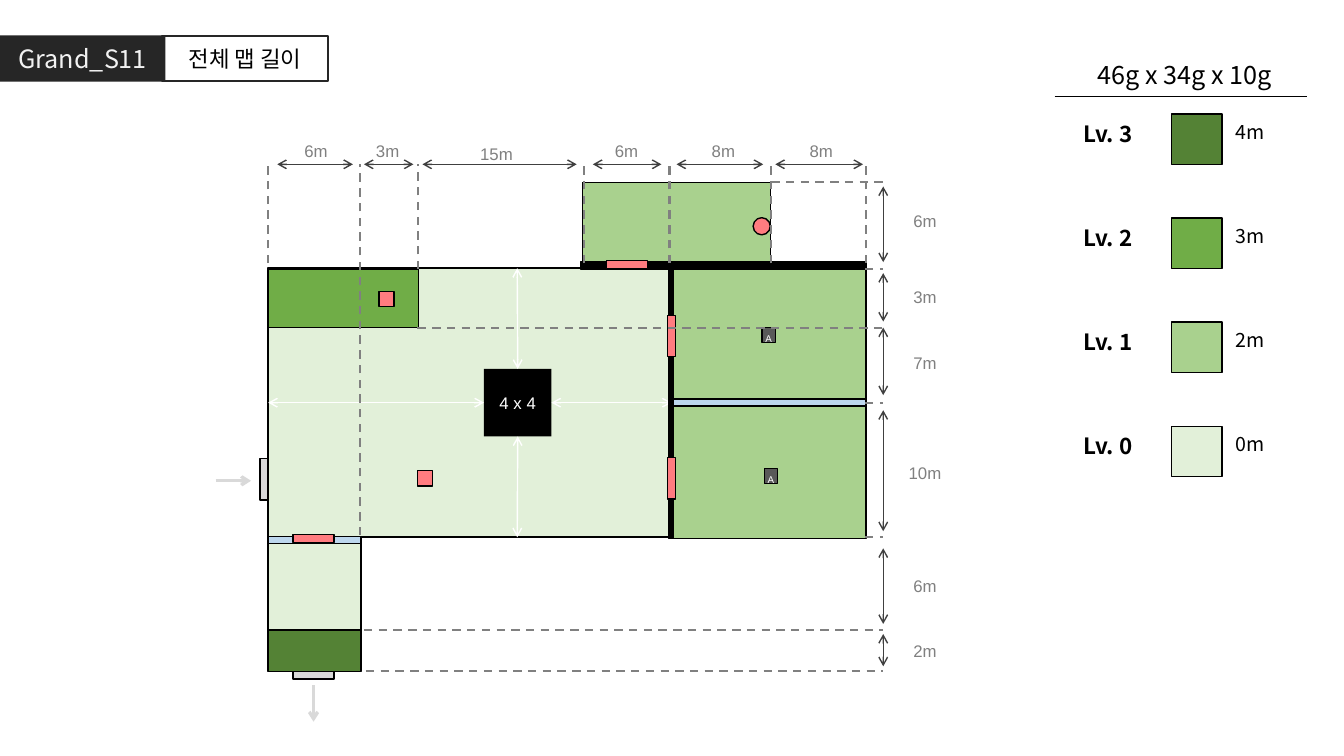
from lxml import etree
from pptx import Presentation
from pptx import util as u
from pptx.dml.color import RGBColor
from pptx.enum import dml, shapes, text
from pptx.oxml.ns import qn

BLACK = RGBColor(0x00, 0x00, 0x00)
WHITE = RGBColor(0xFF, 0xFF, 0xFF)
OFF_WHITE = RGBColor(0xF2, 0xF2, 0xF2)
INK = RGBColor(0x26, 0x26, 0x26)
DARK_GRAY = RGBColor(0x40, 0x40, 0x40)
CRATE_GRAY = RGBColor(0x59, 0x59, 0x59)
GRAY = RGBColor(0x80, 0x80, 0x80)
LIGHT_GRAY = RGBColor(0xD9, 0xD9, 0xD9)
PINK = RGBColor(0xFF, 0x7C, 0x80)
GLASS = RGBColor(0xBD, 0xD7, 0xEE)
LEVEL_0 = RGBColor(0xE2, 0xF0, 0xD9)
LEVEL_1 = RGBColor(0xA9, 0xD1, 0x8E)
LEVEL_2 = RGBColor(0x70, 0xAD, 0x47)
LEVEL_3 = RGBColor(0x54, 0x82, 0x35)
CJK = "Noto Sans CJK KR"
LATIN = "Arial"
TOP, LEFT, BOTTOM, RIGHT = range(4)


class MapPage:
    """Draws map elements on one page, placed on a grid of tenth-inch columns and rows."""

    cell = u.Inches(0.1)

    def __init__(self, deck):
        self.page = deck.slides.add_slide(deck.slide_layouts[5])

    def grid(self, *cells):
        return [u.Emu(round(count * self.cell)) for count in cells]

    def letter(self, box, words, size, color, font=LATIN, bold=False, align=text.PP_ALIGN.CENTER):
        frame = box.text_frame
        frame.text = words
        para = frame.paragraphs[0]
        para.alignment = align
        span = para.runs[0]
        span.font.size = u.Pt(size)
        span.font.name = font
        span.font.bold = bold
        span.font.color.rgb = color
        return frame

    def title(self, words, area):
        box = self.page.shapes.title
        box.left, box.top, box.width, box.height = self.grid(*area)
        box.fill.solid()
        box.fill.fore_color.rgb = INK
        frame = self.letter(box, words, 18, OFF_WHITE, CJK)
        frame.vertical_anchor = text.MSO_ANCHOR.MIDDLE
        frame.auto_size = text.MSO_AUTO_SIZE.NONE

    def block(self, area, fill=None, line=BLACK, weight=1, kind=shapes.MSO_SHAPE.RECTANGLE):
        box = self.page.shapes.add_shape(kind, *self.grid(*area))
        box.shadow.inherit = False
        if fill is None:
            box.fill.background()
        else:
            box.fill.solid()
            box.fill.fore_color.rgb = fill
        if line is None:
            box.line.fill.background()
        else:
            box.line.color.rgb = line
            box.line.width = u.Pt(weight)
        return box

    def label(self, words, area, size, color, **style):
        box = self.page.shapes.add_textbox(*self.grid(*area))
        self.letter(box, words, size, color, **style).word_wrap = True

    def crate(self, area):
        frame = self.letter(self.block(area, CRATE_GRAY), "A", 7, WHITE)
        frame.vertical_anchor = text.MSO_ANCHOR.TOP
        frame.margin_left = frame.margin_right = 0
        frame.word_wrap = False

    def line(self, start, end, color, weight=1.0, dashed=False, arrows=()):
        line = self.page.shapes.add_connector(
            shapes.MSO_CONNECTOR.STRAIGHT, *self.grid(*start, *end))
        line.line.color.rgb = color
        line.line.width = u.Pt(weight)
        if dashed:
            line.line.dash_style = dml.MSO_LINE.DASH
        properties = line.element.spPr
        for side in arrows:
            etree.SubElement(properties.find(qn("a:ln")), qn(f"a:{side}"), type="arrow")
        etree.SubElement(properties, qn("a:effectLst"))
        return line

    def measure(self, start, end, color=DARK_GRAY):
        return self.line(start, end, color, arrows=("headEnd", "tailEnd"))

    def guide(self, start, end):
        self.line(start, end, GRAY, 1.5, dashed=True)

    def distance(self, words, center, middle):
        self.label(words, (center - 3.65, middle - 1.5, 7.3, 3), 12, GRAY)


def draw_legend(page):
    page.line((104.6, 9.6), (129.6, 9.6), BLACK)
    page.label("46g x 34g x 10g", (107.1, 5.4, 20.8, 4), 18, BLACK, font=CJK)
    levels = [("Lv. 3", LEVEL_3, "4m"), ("Lv. 2", LEVEL_2, "3m"),
              ("Lv. 1", LEVEL_1, "2m"), ("Lv. 0", LEVEL_0, "0m")]
    for index, (name, color, height) in enumerate(levels):
        top = 11.3 + 10.33 * index
        page.block((116.2, top, 5, 5), color)
        page.label(name, (106.5, top + 0.1, 10.7, 3.6), 16, BLACK,
                   font=CJK, bold=True, align=text.PP_ALIGN.LEFT)
        page.label(height, (121.6, top + 0.1, 7.1, 3.3), 14, BLACK,
                   font=CJK, align=text.PP_ALIGN.LEFT)


def draw_hall(page):
    page.block((57.8, 18.1, 18.6, 8.5), LEVEL_1)
    hall = page.block((26.6, 26.6, 40, 26.7), LEVEL_0)
    core = page.block((48, 36.6, 6.7, 6.7), BLACK, line=None)
    frame = page.letter(core, "4 x 4", 12, WHITE)
    frame.vertical_anchor = text.MSO_ANCHOR.MIDDLE
    frame.margin_left = frame.margin_right = 0
    page.measure((51.3, 26.6), (51.3, 36.6), WHITE).end_connect(core, TOP)
    page.measure((51.3, 43.3), (51.3, 53.3), WHITE).begin_connect(core, BOTTOM)
    for start, start_side, end, end_side in [(hall, LEFT, core, LEFT), (core, RIGHT, hall, RIGHT)]:
        width = page.measure((26.6, 40), (66.6, 40), WHITE)
        width.begin_connect(start, start_side)
        width.end_connect(end, end_side)


def draw_rooms(page):
    for area, color in [
        ((66.6, 26.6, 19.3, 13.4), LEVEL_1), ((66.6, 40, 19.3, 13.4), LEVEL_1),
        ((26.6, 26.7, 14.9, 5.8), LEVEL_2),
        ((41.4, 46.7, 1.5, 1.5), PINK), ((37.6, 28.9, 1.5, 1.5), PINK),
        ((57.6, 26, 28.3, 0.7), BLACK), ((66.6, 39.6, 19.3, 0.7), GLASS),
        ((60.15, 25.85, 4.1, 0.8), PINK),
        ((25.8, 45.5, 0.8, 4.1), LIGHT_GRAY), ((29.05, 66.55, 4.1, 0.8), LIGHT_GRAY),
        ((26.6, 53.3, 9.2, 9.2), LEVEL_0), ((26.6, 62.5, 9.2, 4.1), LEVEL_3),
        ((26.6, 53.2, 9.2, 0.7), GLASS), ((29.05, 53.05, 4.1, 0.8), PINK),
        ((66.3, 26.7, 0.5, 26.7), BLACK),
        ((66.2, 31.3, 0.8, 4.1), PINK), ((66.2, 45.4, 0.8, 4.1), PINK),
    ]:
        page.block(area, color)
    page.block((74.7, 21.6, 1.7, 1.7), PINK, kind=shapes.MSO_SHAPE.OVAL)
    page.crate((75.6, 32.5, 1.3, 1.5))
    page.crate((75.8, 46.5, 1.3, 1.5))
    page.line((21.4, 47.7), (24.9, 47.7), LIGHT_GRAY, 2.25, arrows=("tailEnd",))
    page.line((31.1, 68), (31.1, 71.6), LIGHT_GRAY, 2.25, arrows=("tailEnd",))


def draw_distances(page):
    top_row, right_column = 16.3, 87.6
    for column, bottom in [(26.6, 26.1), (35.7, 53.1), (41.5, 26.7), (57.9, 26.1),
                           (66.4, 26.1), (76.5, 26.1), (85.9, 26.1)]:
        page.guide((column, bottom), (column, top_row))
    for row, left in [(18.1, 76.5), (26.7, 85.8), (32.5, 41.4), (40, 85.8),
                      (53.3, 85.8), (62.5, 36.1), (66.6, 36.3)]:
        page.guide((left, row), (right_column, row))
    for words, left, right, center, middle in [
        ("6m", 27.5, 35, 31.35, 15), ("3m", 36.1, 41, 38.45, 15),
        ("15m", 41.9, 57.2, 49.25, 15.3), ("6m", 58.8, 65.6, 62.15, 15),
        ("8m", 67.1, 75.7, 71.75, 15), ("8m", 76.9, 85.6, 81.45, 15),
    ]:
        page.measure((left, top_row), (right, top_row))
        page.distance(words, center, middle)
    for words, top, bottom, middle in [
        ("6m", 18.5, 26, 21.9), ("3m", 27.1, 31.9, 29.5), ("7m", 32.5, 39.2, 36),
        ("10m", 40.7, 52.7, 46.9), ("6m", 54.4, 61.9, 58.1), ("2m", 62.9, 66.1, 64.6),
    ]:
        page.measure((right_column, top), (right_column, bottom))
        page.distance(words, 91.75, middle)


def main():
    deck = Presentation()
    deck.slide_width, deck.slide_height = u.Inches(13.33), u.Inches(7.5)
    page = MapPage(deck)
    page.title("Grand_S11", (0, 3.5, 16.4, 4.6))
    subtitle = page.block((16.1, 3.6, 16.4, 4.4), line=INK, weight=1.5)
    page.letter(subtitle, "전체 맵 길이", 16, BLACK)
    draw_legend(page)
    draw_hall(page)
    draw_rooms(page)
    draw_distances(page)
    deck.save("out.pptx")


if __name__ == "__main__":
    main()
